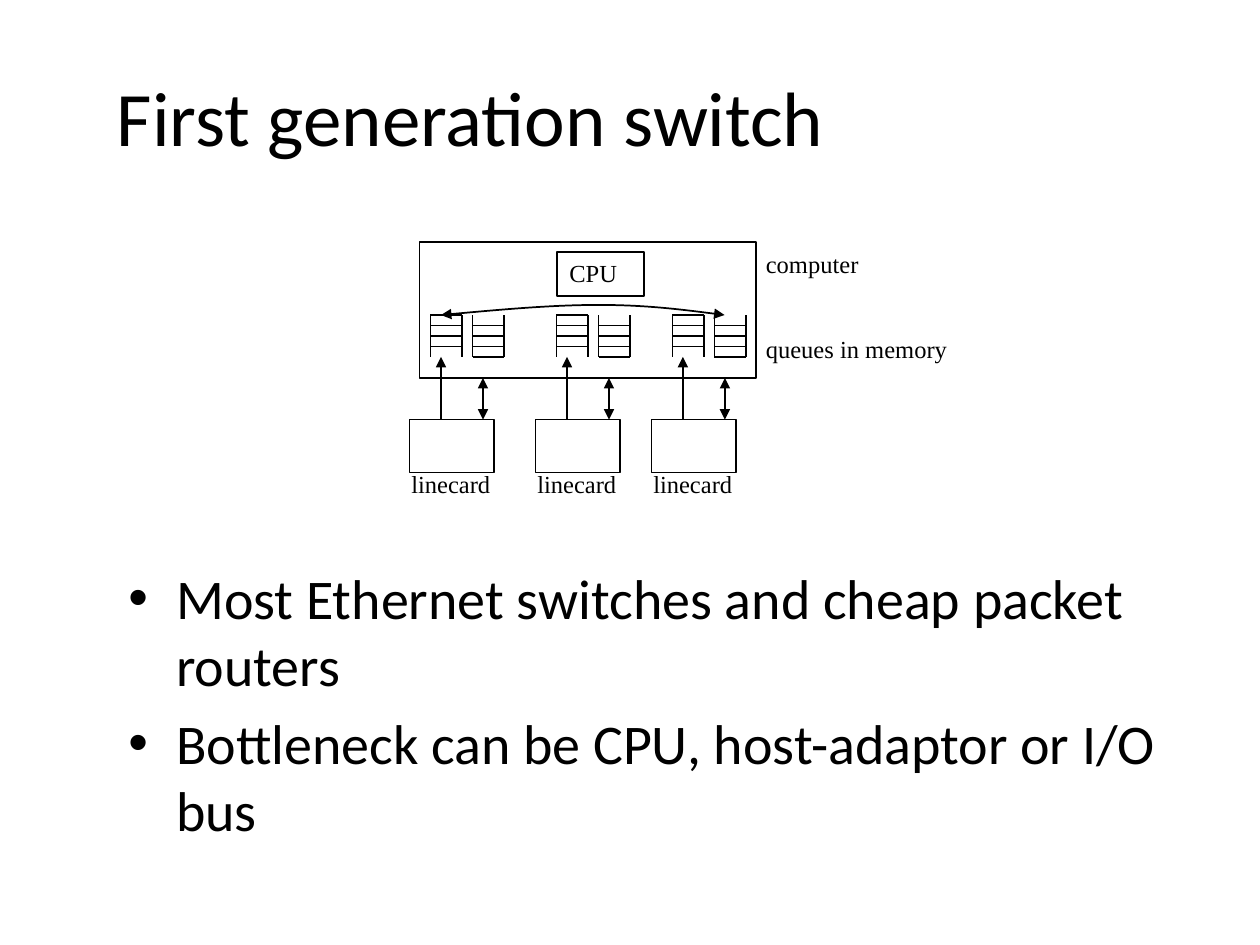
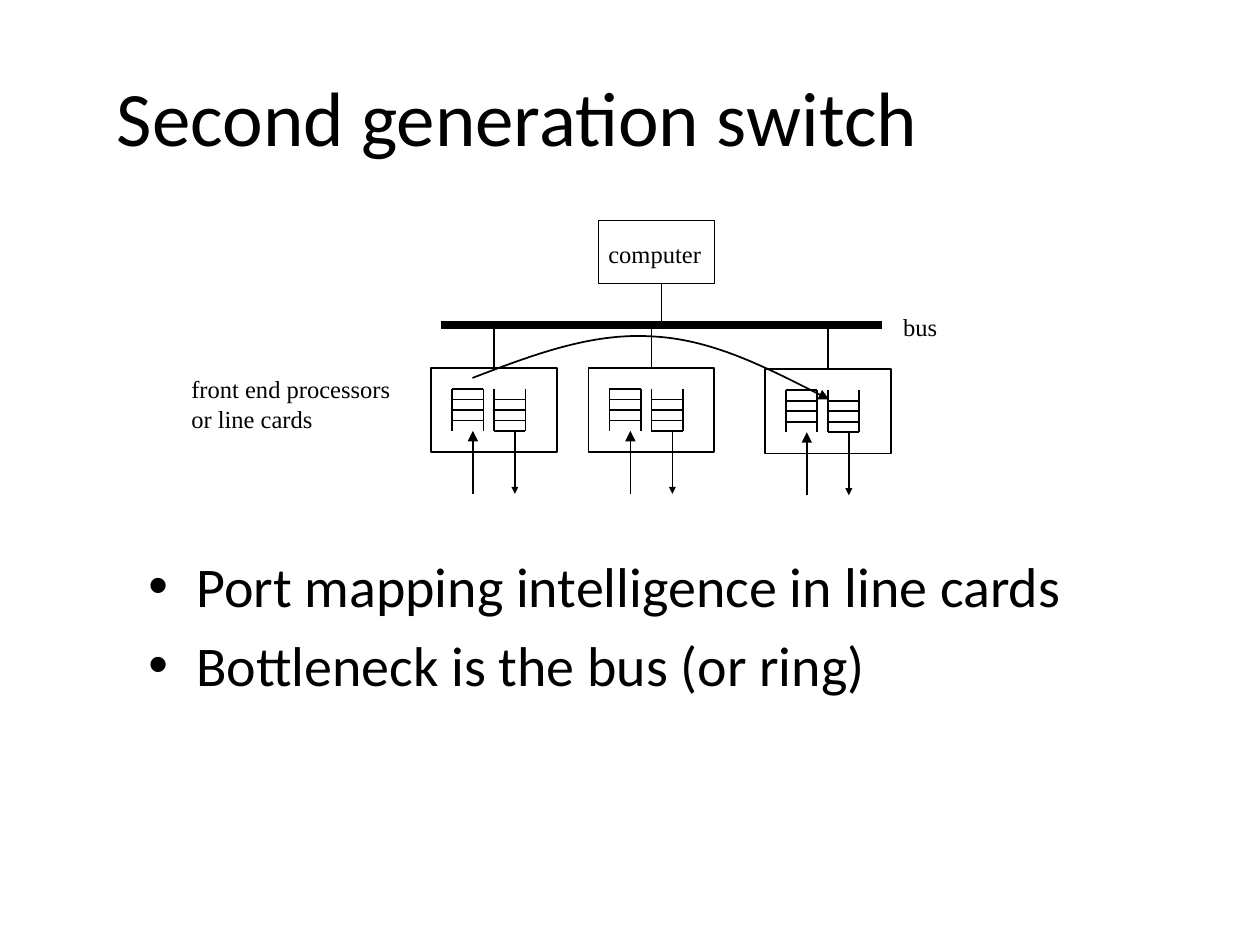
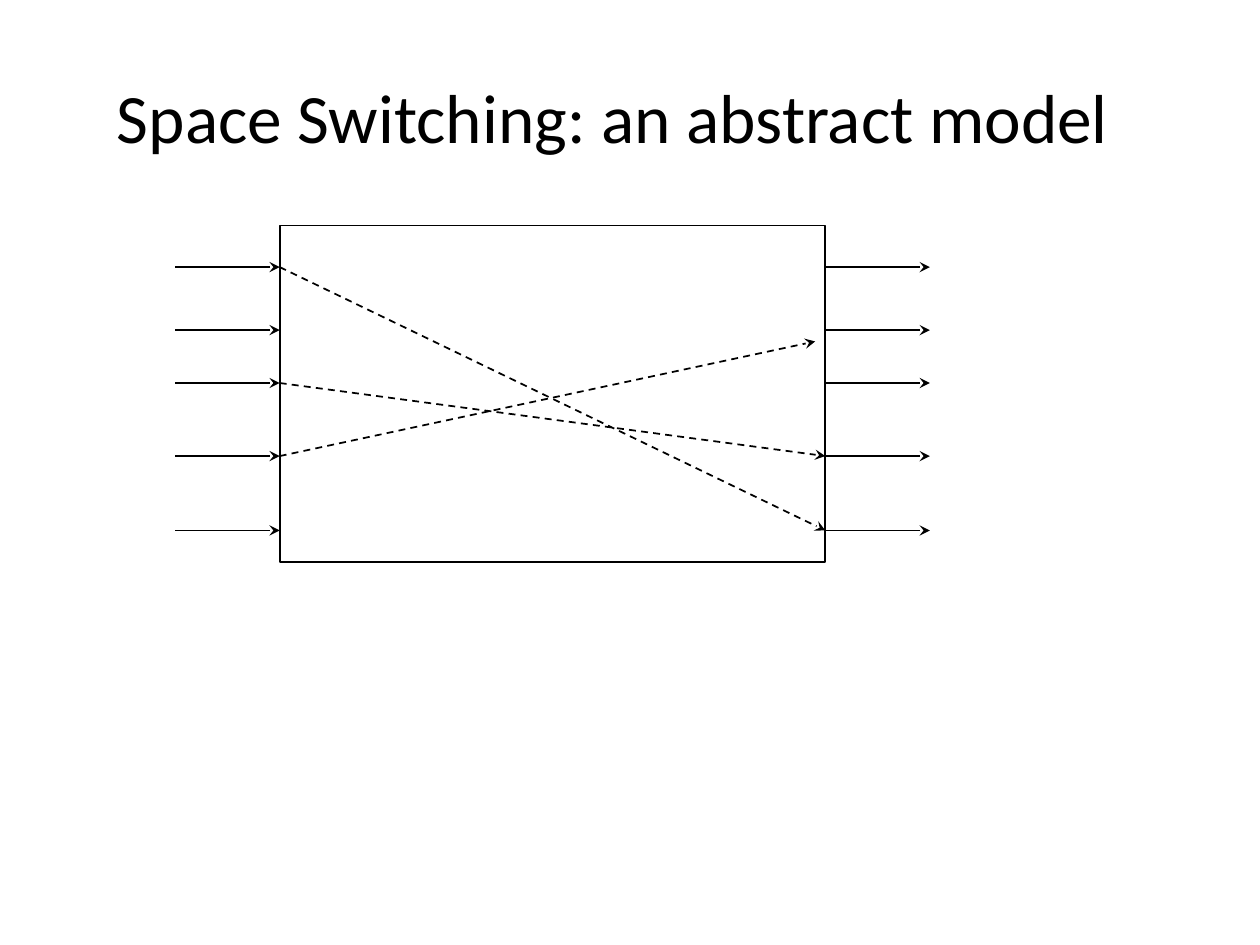
from lxml import etree
from pptx import Presentation, util as u
from pptx.dml.color import RGBColor
from pptx.enum import dml, shapes, text
from pptx.oxml import ns

BLACK = RGBColor(0x00, 0x00, 0x00)
BODY_FONT, LABEL_FONT = "Calibri", "Times New Roman"
TITLE_BOX = (0.83, 0.29, 8.83, 1.25)
CELL = 1 / 12
QUEUE_WIDTH, QUEUE_HEIGHT = 3 * CELL, 4 * CELL

FIRST = {
    "title": "First generation switch",
    "bullets": ["Most Ethernet switches and cheap packet routers",
                "Bottleneck can be CPU, host-adaptor or I/O bus"],
    "bullet_box": (0.92, 4.42, 8.5, 2.17),
    "labels": [("computer", (5.98, 1.93, 1.03, 0.33)),
               ("queues in memory", (5.98, 2.6, 1.74, 0.33)),
               ("CPU", (4.42, 2, 0.69, 0.35))],
    "boxes": [(3.33, 1.92, 2.67, 1.08), (4.42, 2, 0.69, 0.35)],
    "linecards": [3.25, 4.25, 5.17],
    "route": [(3.5, 2.5), (3.94, 2.46), (4.38, 2.42), (4.75, 2.42),
              (5.12, 2.42), (5.44, 2.46), (5.75, 2.5)],
}
SECOND = {
    "title": "Second generation switch",
    "bullets": ["Port mapping intelligence in line cards",
                "Bottleneck is the bus (or ring)"],
    "bullet_box": (1.08, 4.33, 8.5, 1.58),
    "labels": [("bus", (7.07, 2.43, 0.57, 0.33)),
               ("computer", (4.73, 1.85, 1.03, 0.33)),
               ("front end processors\nor line cards", (1.42, 2.92, 1.88, 0.57))],
    "boxes": [(4.75, 1.75, 0.92, 0.5)],
    "front_ends": [(3.42, 2.92), (4.67, 2.92), (6.07, 2.93)],
    "route": [(3.75, 3), (4.22, 2.82), (4.69, 2.64), (5.17, 2.67),
              (5.64, 2.69), (6.11, 2.93), (6.58, 3.17)],
}
THIRD = {
    "title": "Space Switching: an abstract model",
    "fabric": (2.22, 1.79, 4.33, 2.67),
    "port_heights": [2.12, 2.62, 3.04, 3.62, 4.21],
    "port_length": 0.83,
    "paths": [((2.22, 2.12), (6.55, 4.21)), ((2.22, 3.62), (6.47, 2.71)),
              ((2.22, 3.04), (6.55, 3.62))],
}


def add_text(page, content, at, size=14, font=LABEL_FONT,
             anchor=text.MSO_ANCHOR.TOP, bullet=False):
    box = page.shapes.add_textbox(*map(u.Inches, at))
    frame = box.text_frame
    frame.word_wrap = True
    frame.vertical_anchor = anchor
    for index, line in enumerate(content.split("\n")):
        para = frame.paragraphs[0] if index == 0 else frame.add_paragraph()
        if bullet:
            if index:
                para.space_before = u.Pt(size * 0.2)
            properties = para._p.get_or_add_pPr()
            properties.set("marL", str(u.Inches(0.38)))
            properties.set("indent", str(u.Inches(-0.38)))
            etree.SubElement(properties, ns.qn("a:buFont"), typeface="Arial")
            etree.SubElement(properties, ns.qn("a:buChar"), char="•")
        span = para.add_run()
        span.text = line
        span.font.size = u.Pt(size)
        span.font.name = font
        span.font.color.rgb = BLACK


def style_line(shape, width=1, head=None, tail=None, size="med", dashed=False):
    shape.line.color.rgb = BLACK
    shape.line.width = u.Pt(width)
    if dashed:
        shape.line.dash_style = dml.MSO_LINE.DASH
    outline = shape.line._get_or_add_ln()
    for tag, kind in (("a:headEnd", head), ("a:tailEnd", tail)):
        if kind:
            etree.SubElement(outline, ns.qn(tag), type=kind, w=size, len=size)


def add_line(page, start, end, **style):
    line = page.shapes.add_connector(
        shapes.MSO_CONNECTOR.STRAIGHT, *map(u.Inches, (*start, *end)))
    style_line(line, **style)
    etree.SubElement(line._element.spPr, ns.qn("a:effectLst"))
    return line


def add_box(page, at):
    box = page.shapes.add_shape(shapes.MSO_SHAPE.RECTANGLE, *map(u.Inches, at))
    box.fill.background()
    box.shadow.inherit = False
    style_line(box)
    return box


def add_curve(page, points, **style):
    start, *rest = [tuple(map(u.Inches, point)) for point in points]
    builder = page.shapes.build_freeform(*start)
    builder.add_line_segments(rest, close=False)
    curve = builder.convert_to_shape()
    segments = list(curve._element.iter(ns.qn("a:lnTo")))
    route = segments[0].getparent()
    for first in range(0, len(segments), 3):
        bezier = etree.SubElement(route, ns.qn("a:cubicBezTo"))
        for segment in segments[first:first + 3]:
            bezier.append(segment[0])
            route.remove(segment)
    curve.fill.background()
    curve.shadow.inherit = False
    style_line(curve, **style)


def add_queue(page, left, top, levels):
    right = left + QUEUE_WIDTH
    for x in (left, right):
        add_line(page, (x, top), (x, top + QUEUE_HEIGHT))
    for level in levels:
        y = top + level * CELL
        add_line(page, (left, y), (right, y))


def add_queue_pair(page, left, top):
    add_queue(page, left, top, range(4))
    add_queue(page, left + 4 * CELL, top, range(1, 5))


def add_page(deck, content, title_size=44):
    page = deck.slides.add_slide(deck.slide_layouts[6])
    add_text(page, content["title"], TITLE_BOX, size=title_size,
             font=BODY_FONT, anchor=text.MSO_ANCHOR.MIDDLE)
    if "bullets" in content:
        add_text(page, "\n".join(content["bullets"]), content["bullet_box"],
                 size=32, font=BODY_FONT, bullet=True)
    for at in content.get("boxes", []):
        add_box(page, at)
    for label, at in content.get("labels", []):
        add_text(page, label, at)
    return page


def build_first(deck):
    page = add_page(deck, FIRST)
    queue_top, card_top = 2.5, 3.33
    for left in FIRST["linecards"]:
        add_box(page, (left, card_top, 0.67, 0.42))
        add_text(page, "linecard", (left - CELL, 3.67, 0.93, 0.33))
        add_queue_pair(page, left + 2 * CELL, queue_top)
        inbound, outbound = left + 3 * CELL, left + 7 * CELL
        add_line(page, (inbound, card_top),
                 (inbound, queue_top + QUEUE_HEIGHT), tail="triangle")
        add_line(page, (outbound, 3), (outbound, card_top),
                 head="triangle", tail="triangle")
    add_curve(page, FIRST["route"], head="triangle", tail="triangle")


def build_second(deck):
    page = add_page(deck, SECOND)
    bus_height = 2.58
    add_line(page, (3.5, bus_height), (7, bus_height), width=4.5)
    add_line(page, (5.25, 2.25), (5.25, bus_height))
    for left, top in SECOND["front_ends"]:
        card = add_box(page, (left, top, 1, 0.67))
        stem = add_line(page, (left + 0.5, bus_height), (left + 0.5, top))
        stem.end_connect(card, 0)
        queue_top = top + 2 * CELL
        add_queue_pair(page, left + 2 * CELL, queue_top)
        inbound, outbound = left + 4 * CELL, left + 8 * CELL
        queue_end, port_end = queue_top + QUEUE_HEIGHT, top + 1
        add_line(page, (inbound, port_end), (inbound, queue_end), tail="triangle")
        add_line(page, (outbound, queue_end), (outbound, port_end),
                 tail="triangle", size="sm")
    add_curve(page, SECOND["route"], tail="triangle")


def build_third(deck):
    page = add_page(deck, THIRD, title_size=39.6)
    left, _, width, _ = THIRD["fabric"]
    length = THIRD["port_length"]
    add_box(page, THIRD["fabric"])
    for y in THIRD["port_heights"]:
        for x in (left - length, left + width):
            add_line(page, (x, y), (x + length, y), tail="stealth")
    for start, end in THIRD["paths"]:
        add_line(page, start, end, tail="stealth", dashed=True)


def main():
    deck = Presentation()
    deck.slide_width, deck.slide_height = u.Inches(10), u.Inches(7.5)
    for build in (build_first, build_second, build_third):
        build(deck)
    deck.save("out.pptx")


if __name__ == "__main__":
    main()
